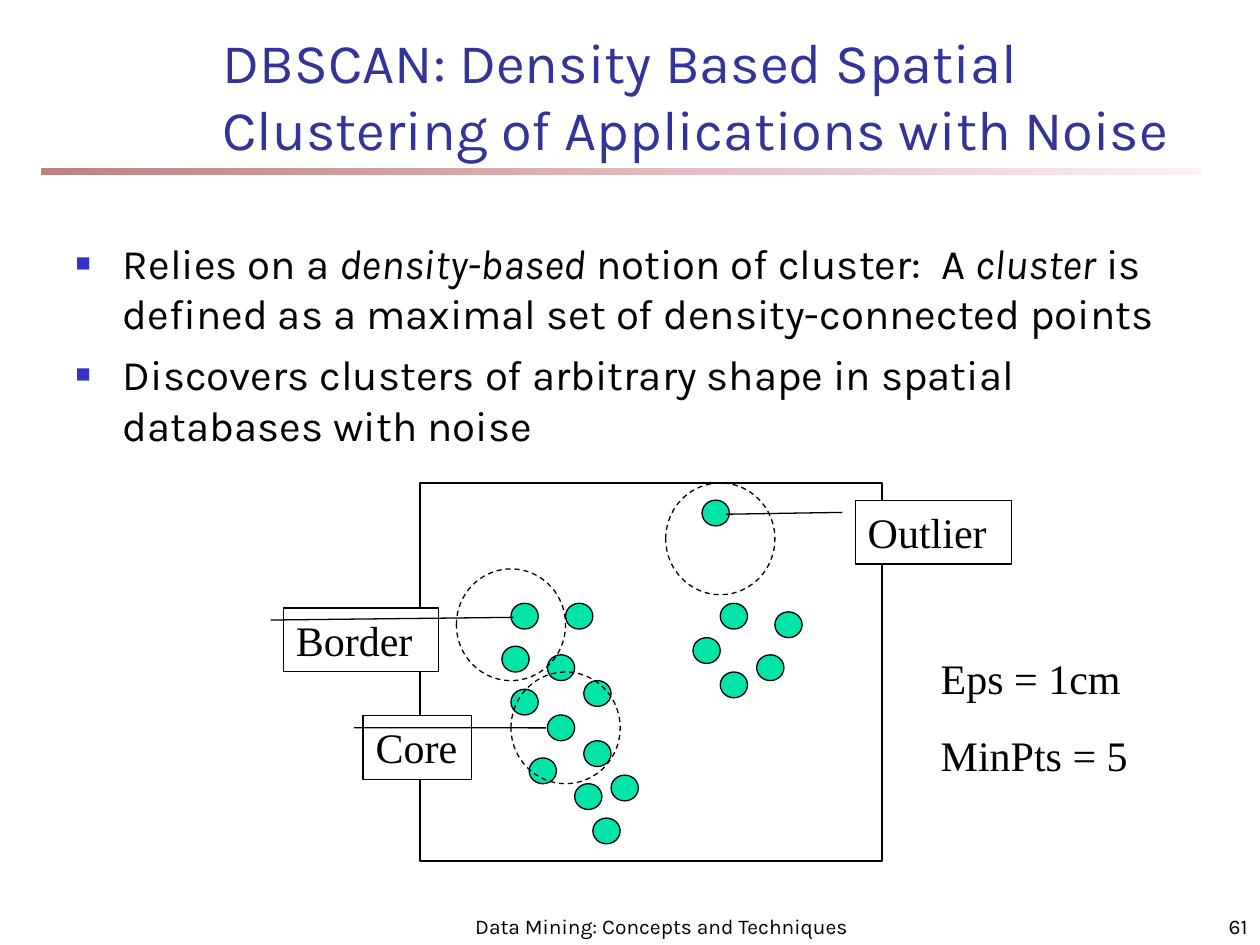
"""Build the DBSCAN slide with its cluster diagram."""
from dataclasses import dataclass

import pptx
import pptx.dml.color
import pptx.enum.dml
import pptx.enum.shapes
import pptx.enum.text
import pptx.oxml
import pptx.oxml.ns
import pptx.util

Pt = pptx.util.Pt
SHAPE = pptx.enum.shapes.MSO_SHAPE
ALIGN = pptx.enum.text.PP_ALIGN
ANCHOR = pptx.enum.text.MSO_ANCHOR


@dataclass(frozen=True)
class Theme:
    heading: str = "333399"
    ink: str = "000000"
    bullet: str = "3333CC"
    point: str = "00E4A8"
    paper: str = "FFFFFF"
    rule_light: str = "FAE2F6"
    rule_dark: str = "800000"
    sans: str = "Karla"
    serif: str = "Times New Roman"
    title_size: int = 32
    text_size: int = 24
    footer_size: int = 12
    outline: float = 0.75


def rgb(value):
    return pptx.dml.color.RGBColor.from_string(value)


class SlideBuilder:
    """Hold the theme and the current slide, and add each kind of element."""

    def __init__(self, slide, theme):
        self.slide = slide
        self.theme = theme

    def place(self, shape, box):
        shape.left, shape.top, shape.width, shape.height = map(Pt, box)

    def style(self, paragraph, size, font, color=None, align=ALIGN.LEFT, before=0):
        paragraph.alignment = align
        paragraph.space_before = Pt(before)
        for run in paragraph.runs:
            run.font.size = Pt(size)
            run.font.name = font
            run.font.color.rgb = rgb(color or self.theme.ink)

    def title(self, text, box):
        heading = self.slide.shapes.title
        self.place(heading, box)
        frame = heading.text_frame
        frame.text = text
        frame.auto_size = pptx.enum.text.MSO_AUTO_SIZE.NONE
        frame.vertical_anchor = ANCHOR.BOTTOM
        theme = self.theme
        self.style(frame.paragraphs[0], theme.title_size, theme.sans, theme.heading)

    def bullets(self, items, box):
        body = self.slide.placeholders[1]
        self.place(body, box)
        frame = body.text_frame
        frame.auto_size = pptx.enum.text.MSO_AUTO_SIZE.NONE
        for index, pieces in enumerate(items):
            paragraph = frame.add_paragraph() if index else frame.paragraphs[0]
            for text, italic in pieces:
                run = paragraph.add_run()
                run.text = text
                run.font.italic = italic
            self.style(paragraph, self.theme.text_size, self.theme.sans, before=6)
            self.mark(paragraph)

    def mark(self, paragraph):
        properties = paragraph._p.get_or_add_pPr()
        properties.set("marL", str(Pt(27)))
        properties.set("indent", str(-Pt(27)))
        namespace = pptx.oxml.ns.nsdecls("a")
        for xml in (
            f'<a:buClr {namespace}><a:srgbClr val="{self.theme.bullet}"/></a:buClr>',
            f'<a:buSzPct {namespace} val="60000"/>',
            f'<a:buChar {namespace} char="■"/>',
        ):
            properties.append(pptx.oxml.parse_xml(xml))

    def shape(self, kind, box, fill=None, dashed=False):
        shape = self.slide.shapes.add_shape(kind, *map(Pt, box))
        shape.shadow.inherit = False
        if fill:
            shape.fill.solid()
            shape.fill.fore_color.rgb = rgb(fill)
        else:
            shape.fill.background()
        shape.line.color.rgb = rgb(self.theme.ink)
        shape.line.width = Pt(self.theme.outline)
        if dashed:
            shape.line.dash_style = pptx.enum.dml.MSO_LINE.DASH
        return shape

    def rule(self, box):
        bar = self.shape(SHAPE.RECTANGLE, box)
        bar.line.fill.background()
        bar.fill.gradient()
        bar.fill.gradient_angle = 180
        colors = self.theme.rule_light, self.theme.rule_dark
        for stop, color in zip(bar.fill.gradient_stops, colors):
            stop.color.rgb = rgb(color)
        for color in bar._element.spPr.iter(pptx.oxml.ns.qn("a:srgbClr")):
            alpha = f'<a:alpha {pptx.oxml.ns.nsdecls("a")} val="50000"/>'
            color.append(pptx.oxml.parse_xml(alpha))

    def callout(self, text, box, pointer):
        label = self.shape(SHAPE.LINE_CALLOUT_1, box, self.theme.paper)
        for index, value in enumerate((0.188, -0.083, *pointer)):
            label.adjustments[index] = value
        frame = label.text_frame
        frame.text = text
        frame.vertical_anchor = ANCHOR.TOP
        self.style(frame.paragraphs[0], self.theme.text_size, self.theme.serif)

    def text(self, lines, box, size, font, align=ALIGN.LEFT, anchor=ANCHOR.TOP, before=0):
        frame = self.slide.shapes.add_textbox(*map(Pt, box)).text_frame
        frame.word_wrap = True
        frame.vertical_anchor = anchor
        frame.text = "\n".join(lines)
        for paragraph in frame.paragraphs:
            self.style(paragraph, size, font, align=align, before=before)


def draw_clusters(builder):
    left, top, step_x, step_y = 240, 276, 5.2, 4.91

    def cells(column, row, columns, rows):
        return (left + column * step_x, top + row * step_y, columns * step_x, rows * step_y)

    arbitrary_cluster = [
        (10, 14), (9, 19), (14, 20), (16, 14), (18, 23), (10, 24),
        (14, 27), (12, 32), (17, 35), (19, 39), (18, 30), (21, 34),
    ]
    small_cluster = [(33, 14), (30, 18), (37, 20), (39, 15), (33, 22)]
    outlier = (31, 2)
    for column, row in arbitrary_cluster + small_cluster + [outlier]:
        builder.shape(SHAPE.OVAL, cells(column, row, 3, 3), builder.theme.point)
    builder.shape(SHAPE.RECTANGLE, (left, top, 264, 216))
    for column, row in [(4, 10), (10, 22), (27, 0)]:
        builder.shape(SHAPE.OVAL, cells(column, row, 12, 13), dashed=True)
    for text, x, y, width, pointer in [
        ("Core", 207.5, 409, 62, (0.191, 1.687)),
        ("Border", 162, 347.5, 88.5, (0.146, 1.485)),
        ("Outlier", 488.75, 286, 89.25, (0.217, -0.828)),
    ]:
        builder.callout(text, (x, y, width, 36.25), pointer)


def main():
    deck = pptx.Presentation()
    deck.slide_width, deck.slide_height = Pt(720), Pt(540)
    theme = Theme()
    builder = SlideBuilder(deck.slides.add_slide(deck.slide_layouts[1]), theme)
    builder.rule((24, 96, 662.5, 4))
    builder.title(
        "DBSCAN: Density Based Spatial Clustering of Applications with Noise",
        (120, 18, 570, 78),
    )
    builder.bullets(
        [
            [
                ("Relies on a ", False),
                ("density-based", True),
                (" notion of cluster:  A ", False),
                ("cluster", True),
                (" is defined as a maximal set of density-connected points", False),
            ],
            [("Discovers clusters of arbitrary shape in spatial databases with noise", False)],
        ],
        (36, 132, 654, 384),
    )
    draw_clusters(builder)
    builder.text(["Eps = 1cm", "MinPts = 5"], (530.5, 369.5, 130, 80),
                 theme.text_size, theme.serif, before=15)
    for text, box, align in [
        ("Data Mining: Concepts and Techniques", (264, 510, 228, 30), ALIGN.CENTER),
        ("61", (570, 510, 150, 30), ALIGN.RIGHT),
    ]:
        builder.text([text], box, theme.footer_size, theme.sans, align, ANCHOR.BOTTOM)
    deck.save("out.pptx")


if __name__ == "__main__":
    main()
